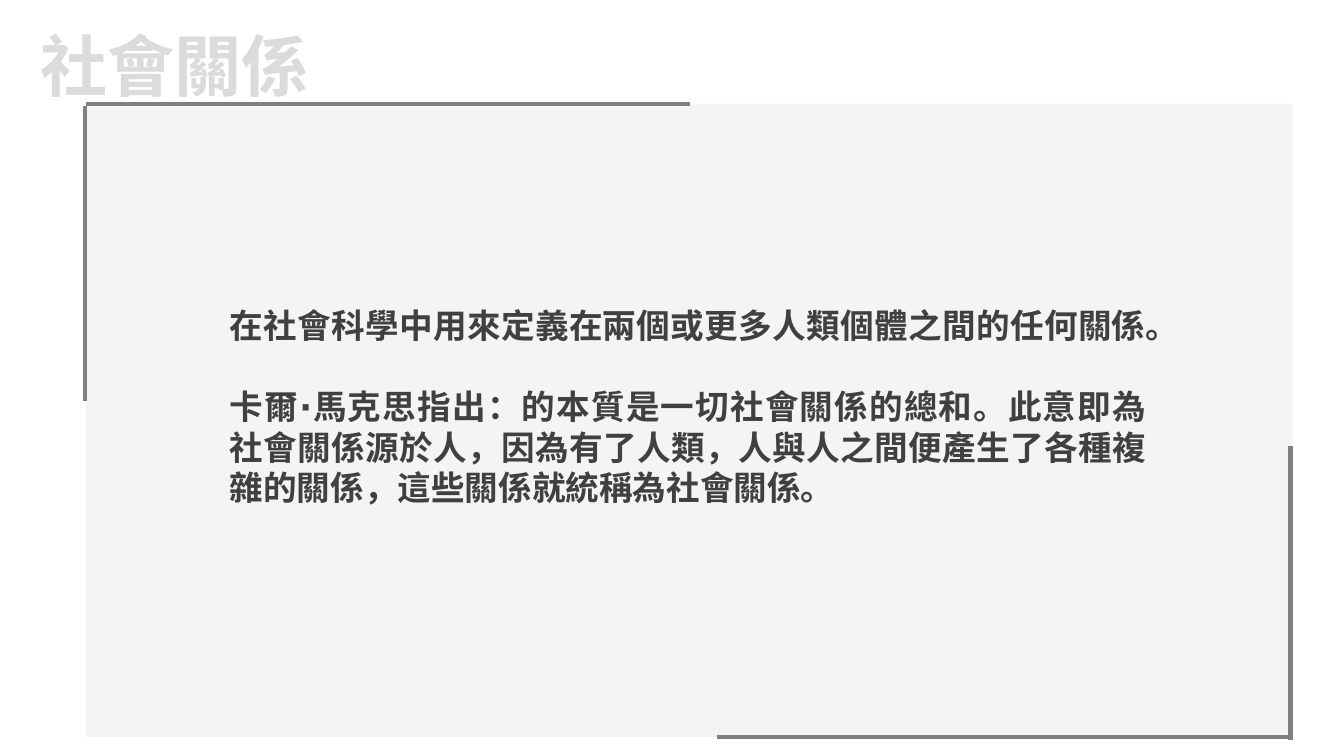
from lxml.etree import SubElement
from pptx import Presentation
from pptx.dml.color import RGBColor
from pptx.enum.shapes import MSO_CONNECTOR, MSO_SHAPE
from pptx.enum.text import PP_ALIGN
from pptx.oxml.ns import qn
from pptx.util import Cm, Pt

FONT = "DejaVu Sans"
TITLE = ["社會關係"]
BODY = [
    "在社會科學中用來定義在兩個或更多人類個體之間的任何關係。",
    "卡爾·馬克思指出：的本質是一切社會關係的總和。此意即為社會關係源於人，"
    "因為有了人類，人與人之間便產生了各種複雜的關係，這些關係就統稱為社會關係。",
]
COLORS = {"title": "DBDBDB", "body": "404040", "panel": "F2F2F2", "frame": "808080"}
PANEL = (2.16, 2.62, 30.43, 15.95)
PANEL_OPACITY = 79
LEFT, TOP, RIGHT, BOTTOM = 2.14, 2.62, 32.52, 18.57
FRAME_LINES = [
    (LEFT, 10.11, LEFT, 2.67),
    (17.38, TOP, LEFT + 0.02, TOP),
    (RIGHT, 11.23, RIGHT, 18.65),
    (18.06, BOTTOM, RIGHT, BOTTOM),
]


def color(hex_text):
    return RGBColor.from_string(hex_text)


def add_text(slide, paragraphs, box, size, fill, align=PP_ALIGN.LEFT, wrap=True, gap=0):
    frame = slide.shapes.add_textbox(*map(Cm, box)).text_frame
    frame.word_wrap = wrap
    for index, text in enumerate(paragraphs):
        paragraph = frame.paragraphs[0] if index == 0 else frame.add_paragraph()
        paragraph.alignment = align
        if index:
            paragraph.space_before = Pt(gap)
        run = paragraph.add_run()
        run.text = text
        run.font.size, run.font.bold, run.font.name = Pt(size), True, FONT
        run.font.color.rgb = color(fill)
        SubElement(run.font._element, qn("a:ea"), typeface=FONT)


def add_panel(slide):
    panel = slide.shapes.add_shape(MSO_SHAPE.RECTANGLE, *map(Cm, PANEL))
    panel.shadow.inherit = False
    panel.fill.solid()
    panel.fill.fore_color.rgb = color(COLORS["panel"])
    panel.line.fill.background()
    tint = panel._element.spPr.find(qn("a:solidFill"))[0]
    SubElement(tint, qn("a:alpha"), val=str(PANEL_OPACITY * 1000))


def add_frame_line(slide, ends):
    line = slide.shapes.add_connector(MSO_CONNECTOR.STRAIGHT, *map(Cm, ends))
    line.line.color.rgb = color(COLORS["frame"])
    line.line.width = Pt(3.25)
    SubElement(line._element.spPr, qn("a:effectLst"))


def main():
    """Build the slide that defines social relations."""
    presentation = Presentation()
    presentation.slide_width, presentation.slide_height = Cm(33.87), Cm(19.05)
    slide = presentation.slides.add_slide(presentation.slide_layouts[6])
    add_text(slide, TITLE, (0.76, 0.48, 7.34, 2.31), 48, COLORS["title"], wrap=False)
    add_panel(slide)
    for ends in FRAME_LINES:
        add_frame_line(slide, ends)
    add_text(slide, BODY, (5.54, 7.57, 23.6, 6.4), 24, COLORS["body"],
             align=PP_ALIGN.JUSTIFY, gap=29)
    presentation.save("out.pptx")


if __name__ == "__main__":
    main()
